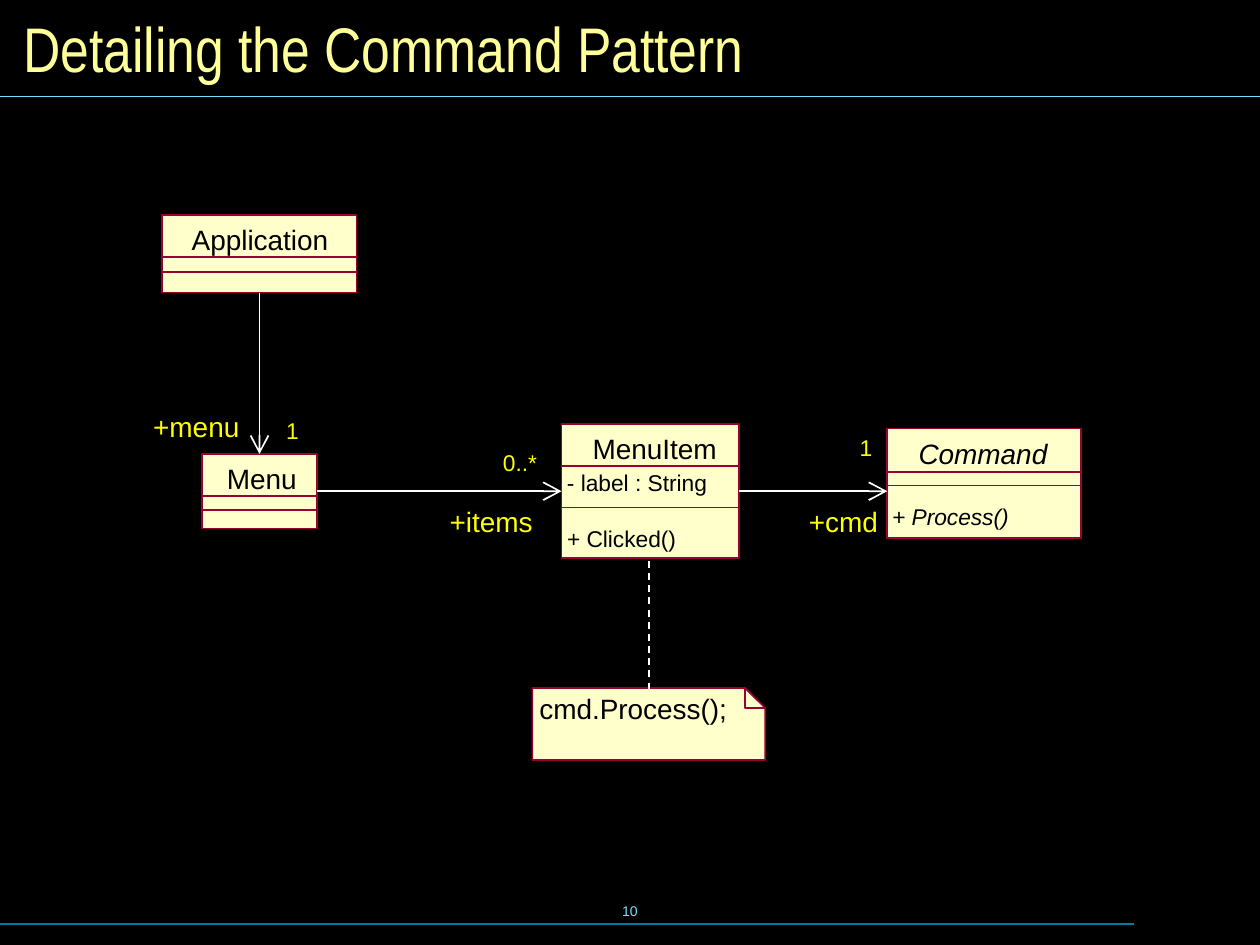
from lxml import etree
from pptx import Presentation
from pptx.dml.color import RGBColor
from pptx.enum import dml, shapes, text
from pptx.oxml import ns
from pptx.util import Pt

COLORS = {
    "background": "000000", "title": "FFFF99", "rule": "73E1FF",
    "footer_rule": "007E9F", "box": "FFFFCC", "border": "990033",
    "ink": "000000", "role": "FFFF00", "link": "FFFFFF",
}
COLORS = {name: RGBColor.from_string(value) for name, value in COLORS.items()}

presentation = Presentation()
presentation.slide_width, presentation.slide_height = Pt(720), Pt(540)
slide = presentation.slides.add_slide(presentation.slide_layouts[5])
slide.background.fill.solid()
slide.background.fill.fore_color.rgb = COLORS["background"]


def write(shape, words, size, color, inset=(0, 0), align=text.PP_ALIGN.LEFT,
          font="Arial", italic=False, **frame_format):
    """Fill a shape with one formatted paragraph; inset is (across, down)."""
    frame = shape.text_frame
    across, down = map(Pt, inset)
    values = {"margin_left": across, "margin_right": across,
              "margin_top": down, "margin_bottom": down,
              "word_wrap": False, **frame_format}
    for name, value in values.items():
        setattr(frame, name, value)
    paragraph = frame.paragraphs[0]
    paragraph.text = words
    paragraph.alignment = align
    for name, value in {"name": font, "size": Pt(size), "italic": italic, "bold": False}.items():
        setattr(paragraph.font, name, value)
    paragraph.font.color.rgb = COLORS[color]


def add_line(start, end, color, width=1, arrow=False):
    line = slide.shapes.add_connector(
        shapes.MSO_CONNECTOR.STRAIGHT, *map(Pt, start + end))
    line.line.color.rgb = COLORS[color]
    line.line.width = Pt(width)
    if arrow:
        etree.SubElement(line.line._get_or_add_ln(), ns.qn("a:tailEnd"),
                         type="arrow", w="lg", len="lg")
    etree.SubElement(line._element.spPr, ns.qn("a:effectLst"))
    return line


# Title, page number and rules
add_line((0, 528), (648, 528), "footer_rule", 0.75)
add_line((0, 55), (720, 55), "rule", 0.75)
title = slide.shapes.title
title.left, title.top, title.width, title.height = map(Pt, (6, 6.2, 708.4, 41.8))
write(title, "Detailing the Command Pattern", 36, "title", (7.2, 3.6),
      font="Arial Narrow", word_wrap=True, auto_size=text.MSO_AUTO_SIZE.NONE,
      vertical_anchor=text.MSO_ANCHOR.MIDDLE)
page_number = slide.shapes.add_textbox(*map(Pt, (246, 502.6, 228, 36)))
write(page_number, "10", 8, "rule", (7.2, 3.6), align=text.PP_ALIGN.CENTER,
      vertical_anchor=text.MSO_ANCHOR.MIDDLE)

# Note with a folded corner
left, top, right, bottom, fold = 304.2, 393.1, 437.3, 434.3, 11.5
corner = [(right - fold, top), (right, top + fold)]
outline = [(left, top), *corner, (right, bottom), (left, bottom)]
crease = [corner[0], (right - fold, top + fold), corner[1]]
for points, closed in ((outline, True), (crease, False)):
    points = [(Pt(x), Pt(y)) for x, y in points]
    builder = slide.shapes.build_freeform(*points[0])
    builder.add_line_segments(points[1:], close=closed)
    shape = builder.convert_to_shape()
    shape.shadow.inherit = False
    shape.line.color.rgb = COLORS["border"]
    shape.line.width = Pt(1)
    if closed:
        shape.fill.solid()
        shape.fill.fore_color.rgb = COLORS["box"]
    else:
        shape.fill.background()

# Classes: left, top, width, height, offsets of the two compartments
classes = {
    "Application": (92.8, 122.9, 111, 44.3, 24, 32.6),
    "Menu": (115.4, 259.4, 65.8, 42.6, 24, 32),
    "MenuItem": (320.9, 242.4, 101.5, 76.6, 24, 47.6),
    "Command": (507, 244.8, 110.7, 62.8, 24.8, 32.6),
}
boxes = {}
for name, (left, top, width, height, *offsets) in classes.items():
    for offset in (0, *offsets):
        box = slide.shapes.add_shape(
            shapes.MSO_SHAPE.RECTANGLE,
            *map(Pt, (left, top + offset, width, height - offset)))
        box.shadow.inherit = False
        box.line.color.rgb = COLORS["border"]
        box.line.width = Pt(1)
        if offset:
            box.fill.background()
        else:
            box.fill.solid()
            box.fill.fore_color.rgb = COLORS["box"]
            boxes[name] = box

# Associations
menu_link = add_line((148.3, 167.2), (148.3, 259.4), "link", arrow=True)
menu_link.begin_connect(boxes["Application"], 2)
menu_link.end_connect(boxes["Menu"], 0)
items_link = add_line((181.2, 280.7), (320.9, 280.7), "link", arrow=True)
items_link.begin_connect(boxes["Menu"], 3)
items_link.end_connect(boxes["MenuItem"], 1)
command_link = add_line((422.4, 280.7), (507, 280.7), "link", arrow=True)
command_link.begin_connect(boxes["MenuItem"], 3)
note_link = add_line((370.8, 394), (370.8, 319), "link")
note_link.line.dash_style = dml.MSO_LINE.DASH

# Labels: words, left, top, width, size, colour, italic
labels = [
    ("cmd.Process();", 308.2, 395.3, 109, 16, "ink", False),
    ("Application", 109.6, 127.4, 80, 16, "ink", False),
    ("Menu", 129.6, 263.8, 42, 16, "ink", False),
    ("MenuItem", 338.6, 246.8, 73, 16, "ink", False),
    ("Command", 524.9, 249.4, 76, 16, "ink", True),
    ("- label : String", 324, 267.8, 83, 13, "ink", False),
    ("+ Clicked()", 324, 299.8, 65, 13, "ink", False),
    ("+ Process()", 509.8, 287.3, 69, 13, "ink", True),
    ("+menu", 87.6, 234.2, 52, 16, "role", False),
    ("+items", 257, 288.4, 49, 16, "role", False),
    ("+cmd", 462.2, 288.4, 42, 16, "role", False),
    ("1", 163.6, 238.3, 8, 13, "role", False),
    ("0..*", 287.4, 256.5, 22, 13, "role", False),
    ("1", 491.2, 247.9, 8, 13, "role", False),
]
for words, left, top, width, size, color, italic in labels:
    height = 19.4 if size == 16 else 15.8
    label = slide.shapes.add_textbox(*map(Pt, (left, top, width, height)))
    write(label, words, size, color, italic=italic,
          auto_size=text.MSO_AUTO_SIZE.SHAPE_TO_FIT_TEXT)

presentation.save("out.pptx")
